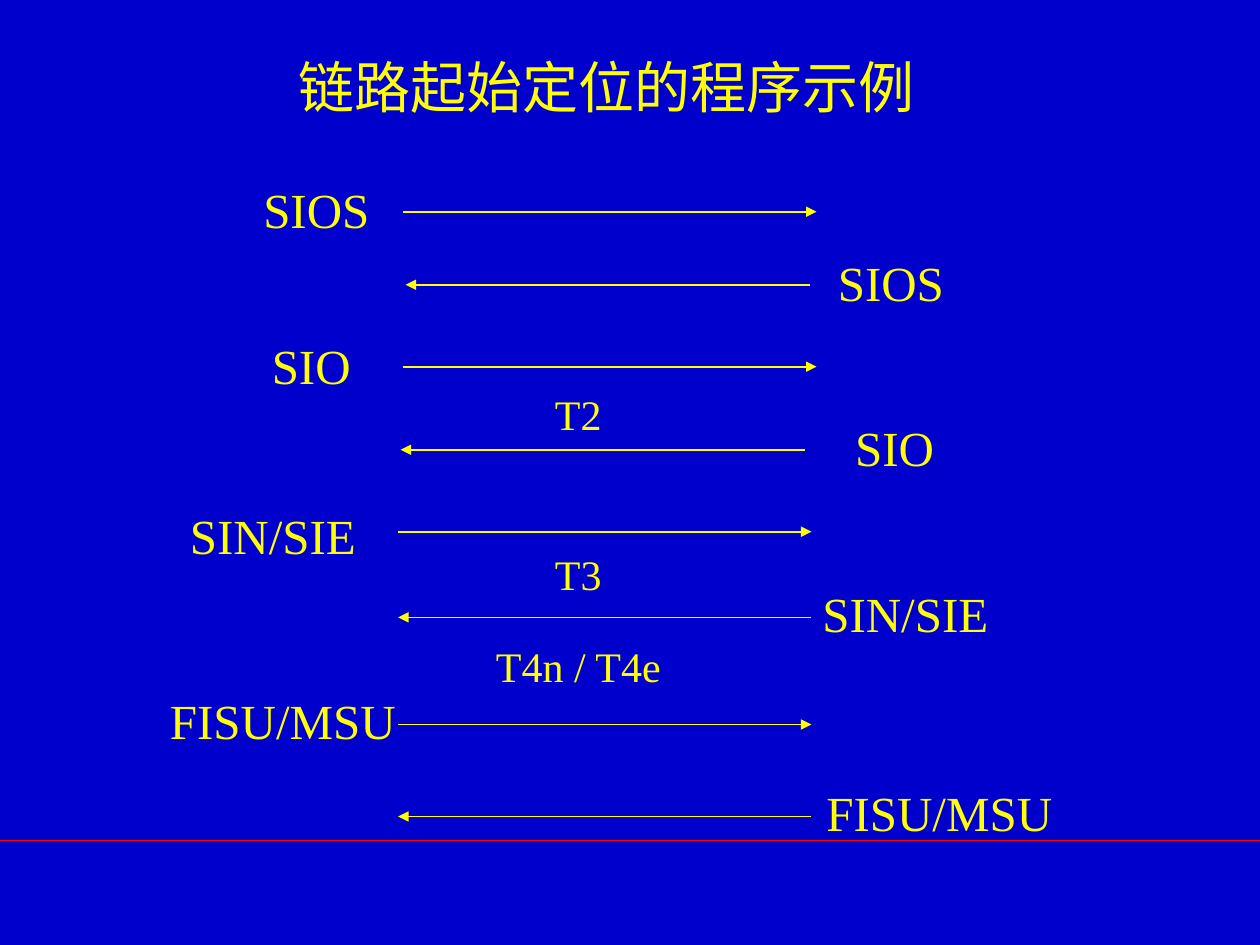
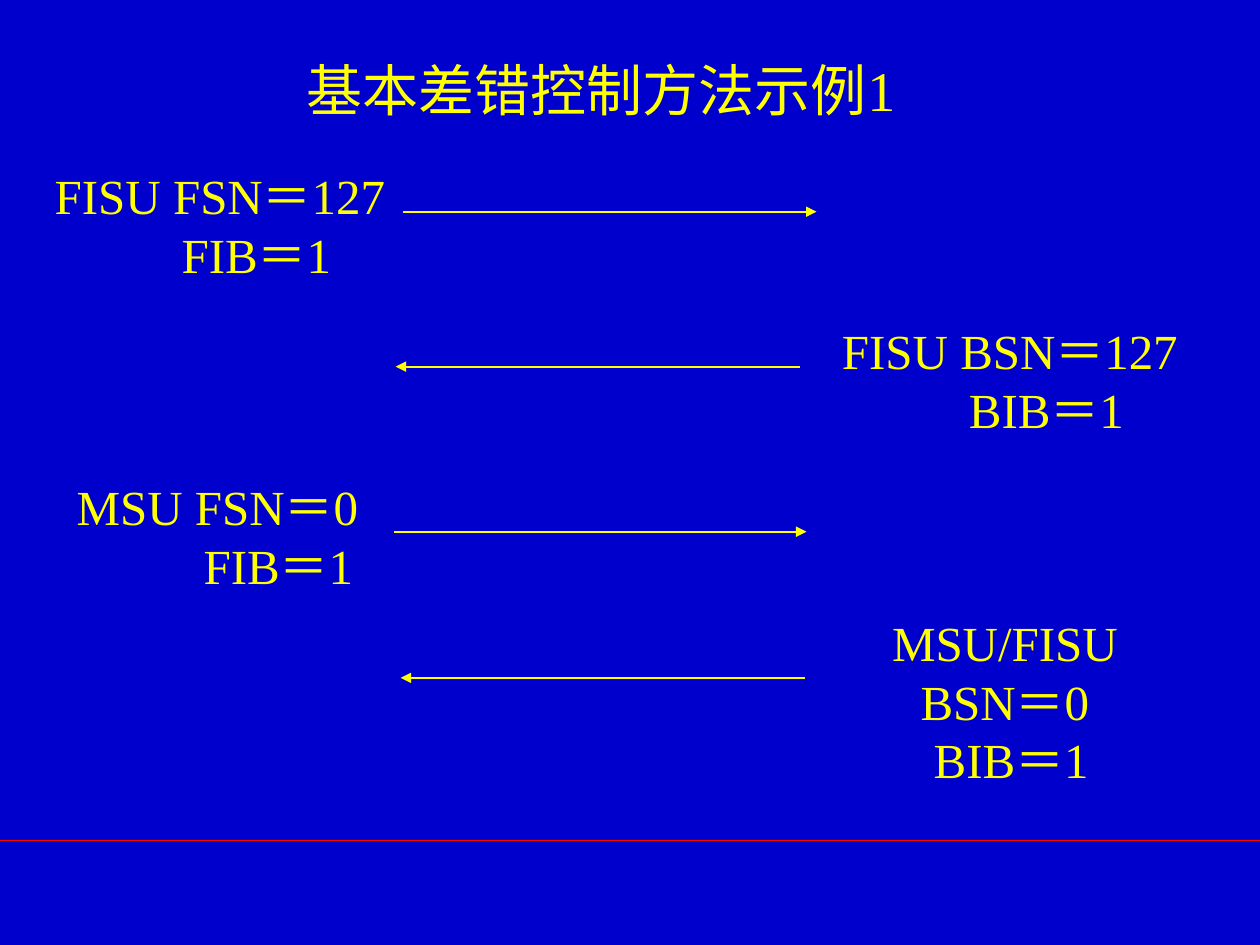
from pptx import Presentation
from pptx.dml.color import RGBColor
from pptx.enum.shapes import MSO_CONNECTOR as Connector
from pptx.enum.text import MSO_ANCHOR as Anchor, MSO_AUTO_SIZE as AutoSize, PP_ALIGN as Align
from pptx.oxml.ns import qn
from pptx.util import Inches, Pt
from lxml import etree

BLUE = RGBColor(0x00, 0x00, 0xCC)
YELLOW = RGBColor(0xFF, 0xFF, 0x00)
RED = RGBColor(0xFF, 0x00, 0x00)
FONT = "Times New Roman"
TITLE_SIZE, LABEL_SIZE, TIMER_SIZE = 32, 28, 24


def write(box, place, lines, size, wrap=False):
    """Place a box and fill it with centred lines, each a (text, left indent) pair."""
    box.left, box.top, box.width, box.height = [Inches(length) for length in place]
    frame = box.text_frame
    frame.word_wrap = wrap
    frame.auto_size = AutoSize.SHAPE_TO_FIT_TEXT
    frame.vertical_anchor = Anchor.MIDDLE
    for index, (text, indent) in enumerate(lines):
        para = frame.add_paragraph() if index else frame.paragraphs[0]
        para.alignment = Align.CENTER
        if indent:
            para._p.get_or_add_pPr().set("marL", str(Inches(indent)))
        span = para.add_run()
        span.text = text
        span.font.name = FONT
        span.font.size = Pt(size)
        span.font.color.rgb = YELLOW


def draw_line(page, start, end, y, color, arrow=True):
    line = page.shapes.add_connector(
        Connector.STRAIGHT, Inches(start), Inches(y), Inches(end), Inches(y))
    line.line.color.rgb = color
    line.line.width = Pt(1)
    if arrow:
        etree.SubElement(line.line._get_or_add_ln(), qn("a:tailEnd"), type="triangle")
    etree.SubElement(line.element.spPr, qn("a:effectLst"))
    return line


deck = Presentation()
deck.slide_width, deck.slide_height = Inches(10), Inches(7.5)
title_only = deck.slide_layouts[5]

# Shared background and titles
master = deck.slide_master
master.background.fill.solid()
master.background.fill.fore_color.rgb = BLUE

pages = []
for title, place in [
    ("链路起始定位的程序示例", (2.24, 0.36, 5.15, 0.64)),
    ("基本差错控制方法示例1", (2.26, 0.39, 5.02, 0.64)),
]:
    page = deck.slides.add_slide(title_only)
    write(page.shapes.title, place, [(title, 0)], TITLE_SIZE)
    pages.append(page)
alignment_page, error_page = pages

# The red rule moves to the master, so that every slide shows it
rule = draw_line(alignment_page, 0, 10, 6.67, RED, arrow=False)
master.shapes.element.append(rule.element)

# Slide 1: signal units exchanged, as arrow start, end, y; label, left, top, width
exchange = [
    (3.2, 6.48, 1.68, "SIOS", 1.97, 1.37, 1.08),
    (6.43, 3.22, 2.26, "SIOS", 6.53, 1.95, 1.08),
    (3.2, 6.48, 2.91, "SIO", 2.04, 2.61, 0.86),
    (6.39, 3.18, 3.57, "SIO", 6.67, 3.26, 0.86),
    (3.16, 6.44, 4.22, "SIN/SIE", 1.39, 3.96, 1.55),
    (6.44, 3.16, 4.9, "SIN/SIE", 6.41, 4.58, 1.55),
    (3.16, 6.44, 5.75, "FISU/MSU", 1.23, 5.43, 2.03),
    (6.44, 3.16, 6.48, "FISU/MSU", 6.44, 6.16, 2.03),
]
for start, end, y, label, left, top, width in exchange:
    draw_line(alignment_page, start, end, y, YELLOW)
    box = alignment_page.shapes.add_textbox(0, 0, 0, 0)
    write(box, (left, top, width, 0.57), [(label, 0)], LABEL_SIZE)

# Slide 1: timers between the arrows, on one centre line
timer_center = 4.59
for timer, top, width in [("T2", 3.03, 0.6), ("T3", 4.3, 0.6), ("T4n / T4e", 5.03, 1.54)]:
    box = alignment_page.shapes.add_textbox(0, 0, 0, 0)
    write(box, (timer_center - width / 2, top, width, 0.5), [(timer, 0)], TIMER_SIZE)

# Slide 2: arrow start, end, y; label place; sequence number, indicator bit, its indent
messages = [
    (3.2, 6.48, 1.68, (0.24, 1.26, 3.01, 1.04), "FISU FSN＝127", "FIB＝1", 0.58),
    (6.35, 3.14, 2.91, (6.53, 2.26, 2.97, 1.5), "FISU BSN＝127", "BIB＝1", 0.58),
    (3.13, 6.4, 4.22, (0.39, 3.73, 2.67, 1.04), "MSU FSN＝0", "FIB＝1", 0.97),
    (6.39, 3.18, 5.38, (6.64, 4.81, 2.67, 1.5), "MSU/FISU BSN＝0", "BIB＝1", 0.1),
]
for start, end, y, place, number, bit, indent in messages:
    draw_line(error_page, start, end, y, YELLOW)
    box = error_page.shapes.add_textbox(0, 0, 0, 0)
    write(box, place, [(number, 0), (bit, indent)], LABEL_SIZE, wrap=True)

deck.save("out.pptx")
